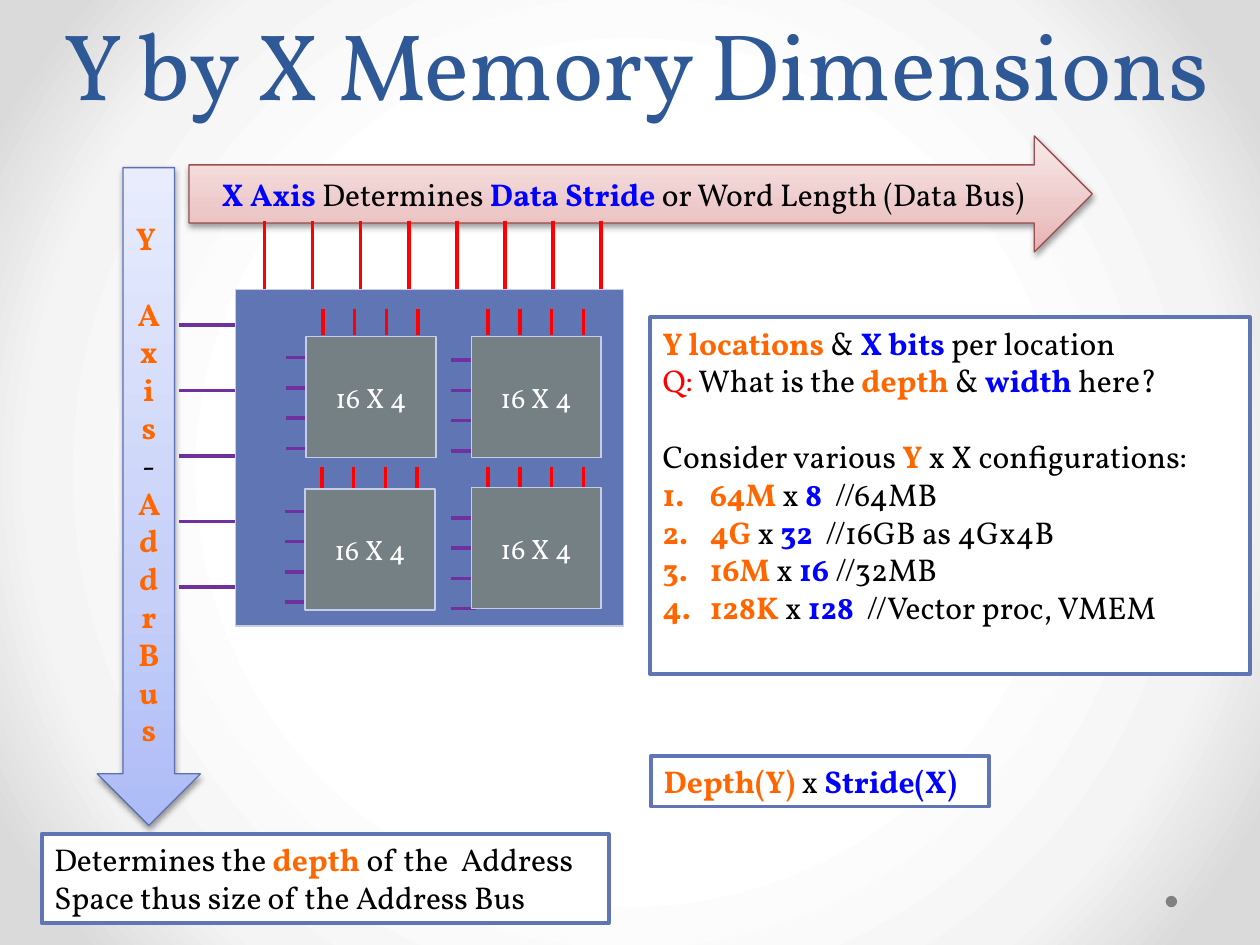
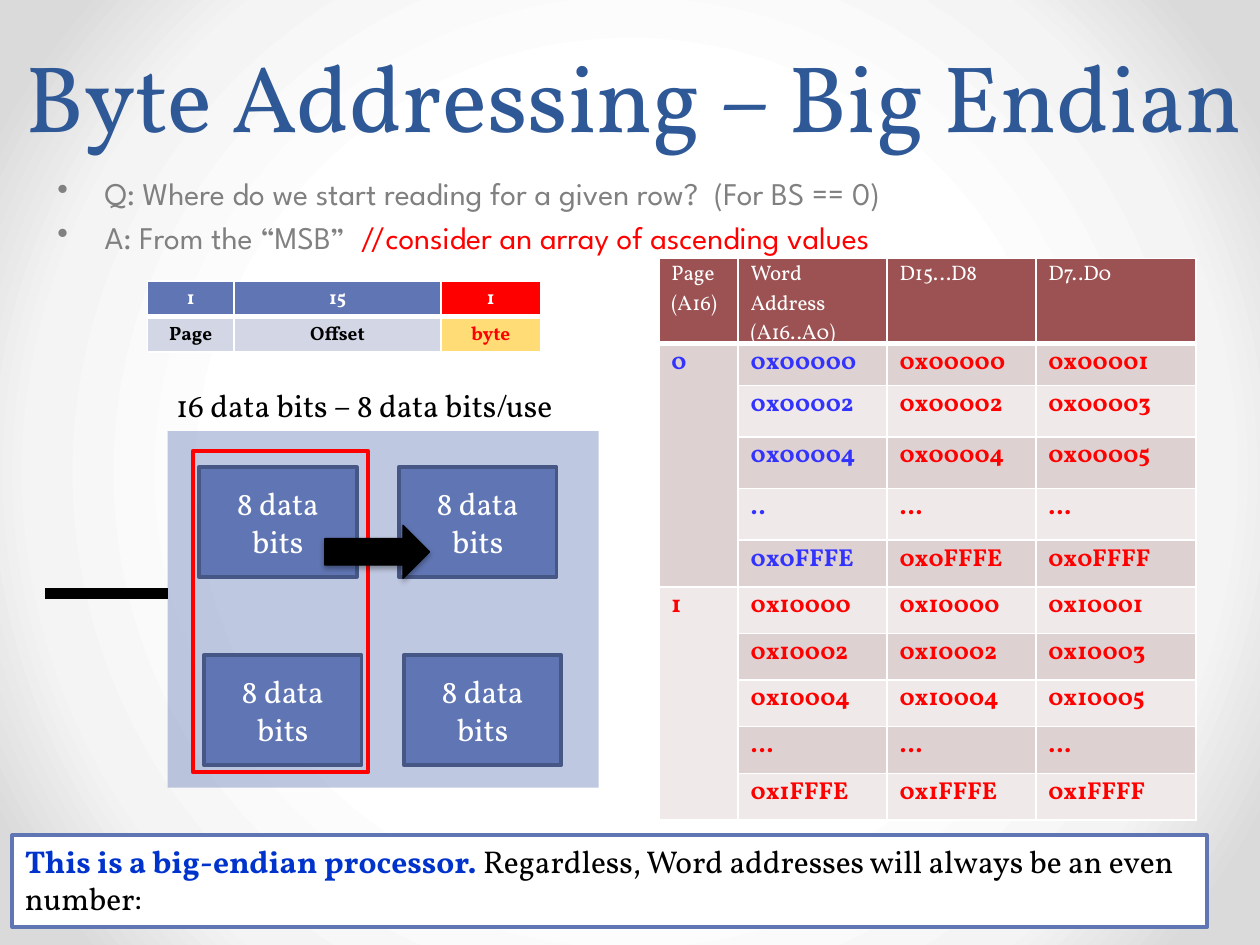
from pptx import Presentation
from pptx.dml.color import RGBColor
from pptx.enum.shapes import MSO_CONNECTOR, MSO_SHAPE
from pptx.enum.text import MSO_ANCHOR, MSO_AUTO_SIZE, PP_ALIGN
from pptx.oxml import parse_xml
from pptx.oxml.ns import nsdecls, qn
from pptx.util import Cm, Pt

RECTANGLE, OVAL = MSO_SHAPE.RECTANGLE, MSO_SHAPE.OVAL
RIGHT_ARROW, DOWN_ARROW = MSO_SHAPE.RIGHT_ARROW, MSO_SHAPE.DOWN_ARROW
STRAIGHT = MSO_CONNECTOR.STRAIGHT
LEFT, CENTER = PP_ALIGN.LEFT, PP_ALIGN.CENTER
TOP, MIDDLE, BOTTOM = MSO_ANCHOR.TOP, MSO_ANCHOR.MIDDLE, MSO_ANCHOR.BOTTOM

SERIF, SANS = "Vollkorn", "League Spartan"
COLORS = {
    "title": "2F5897", "black": "000000", "white": "FFFFFF", "gray": "808080",
    "orange": "FF6600", "blue": "0000FF", "red": "FF0000", "purple": "7030A0",
    "royal": "0033CC", "page blue": "3333FF", "slate": "6076B4",
    "slate edge": "475785", "pale edge": "C6CDE8", "chip": "758085",
    "arrow blue": "5C72B2", "arrow red": "9A4E4E", "head": "9C5252",
    "band dark": "DED1D1", "band light": "EFE9E9", "label": "D2D6E5",
    "gold": "FFC000",
}
# Text style: colour and bold
STYLES = {
    "plain": ("black", False), "depth": ("orange", True), "width": ("blue", True),
    "question": ("red", False), "white": ("white", False), "bullet": ("gray", False),
    "key": ("royal", True), "head": ("white", True), "label": ("black", True),
    "page 0": ("page blue", True), "address": ("red", True),
}
BACKDROP = [(50, "FFFFFF"), (76, "F4F4F4"), (92, "DADADA")]
BLUE_FADE = [(0, "ADBBF6"), (35, "C5CFF8"), (100, "E8ECFD")]
RED_FADE = [(0, "E8B0B0"), (35, "EDC8C8"), (100, "F9E9E9")]
NUMBERED = '<a:buAutoNum %s type="arabicPeriod"/>'
DOTTED = '<a:buChar %s char="•"/>'


def color(name):
    return RGBColor.from_string(COLORS[name])


def xml(markup):
    return parse_xml(markup % nsdecls("a"))


def set_gradient(parent, stops, direction):
    """Replace the gradient inside parent by one with the given stops."""
    marks = "".join(f'<a:gs pos="{place * 1000}"><a:srgbClr val="{tint}"/></a:gs>'
                    for place, tint in stops)
    gradient = xml(f"<a:gradFill %s><a:gsLst>{marks}</a:gsLst>{direction}</a:gradFill>")
    parent.replace(parent.find(qn("a:gradFill")), gradient)


def paint(element, fill, name, alpha=None):
    fill.solid()
    fill.fore_color.rgb = color(name)
    if alpha:
        tint = next(element.iter(qn("a:srgbClr")))
        tint.append(xml(f'<a:alpha %s val="{alpha * 1000}"/>'))


def set_bullet(para, bullet):
    properties = para._p.get_or_add_pPr()
    properties.set("marL", str(Cm(0.95)))
    properties.set("indent", str(Cm(-0.95)))
    properties.append(xml(bullet))


def write(frame, paragraphs, size=18, style="plain", align=LEFT, anchor=TOP, font=SERIF):
    """Fill frame; a paragraph is a string or a list of strings and (text, style) pairs."""
    frame.word_wrap = True
    frame.vertical_anchor = anchor
    for index, spans in enumerate(paragraphs):
        para = frame.paragraphs[0] if index == 0 else frame.add_paragraph()
        para.alignment = align
        for span in [spans] if isinstance(spans, str) else spans:
            text, look = (span, style) if isinstance(span, str) else span
            run = para.add_run()
            run.text = text
            tint, run.font.bold = STYLES[look]
            run.font.color.rgb = color(tint)
            run.font.name, run.font.size = font, Pt(size)
    return frame.paragraphs


class Builder:
    def __init__(self):
        self.deck = Presentation()
        self.deck.slide_width, self.deck.slide_height = Cm(25.4), Cm(19.05)
        master = self.deck.slide_master
        master.background.fill.gradient()
        set_gradient(master.element.cSld.find(qn("p:bg"))[0], BACKDROP,
                     '<a:path path="circle"><a:fillToRect l="50000" t="50000" '
                     'r="50000" b="50000"/></a:path>')
        self.page = None

    def new_page(self, title, left, top, width, height):
        self.page = self.deck.slides.add_slide(self.deck.slide_layouts[5])
        box = self.page.shapes.title
        box.left, box.top, box.width, box.height = map(Cm, (left, top, width, height))
        frame = box.text_frame
        frame.text = title
        frame.auto_size = MSO_AUTO_SIZE.NONE
        frame.word_wrap, frame.vertical_anchor = True, BOTTOM
        para = frame.paragraphs[0]
        para.alignment, para.line_spacing = CENTER, Pt(58)
        font = para.runs[0].font
        font.name, font.size, font.color.rgb = SERIF, Pt(54), color("title")

    def shape(self, kind, left, top, width, height, fill=None, line=None, weight=0, alpha=None):
        shape = self.page.shapes.add_shape(kind, *map(Cm, (left, top, width, height)))
        shape.shadow.inherit = False
        if fill:
            paint(shape._element.spPr, shape.fill, fill, alpha)
        else:
            shape.fill.background()
        if line:
            shape.line.color.rgb = color(line)
            shape.line.width = Pt(weight)
        else:
            shape.line.fill.background()
        return shape

    def arrow(self, kind, left, top, width, height, line, fade=None, shade=38):
        arrow = self.shape(kind, left, top, width, height, "black", line, 0.75)
        properties = arrow._element.spPr
        if fade:
            arrow.fill.gradient()
            set_gradient(properties, fade, '<a:lin ang="16200000" scaled="0"/>')
        properties.find(qn("a:effectLst")).append(xml(
            '<a:outerShdw %s blurRad="40000" dist="20000" dir="5400000" rotWithShape="0">'
            f'<a:srgbClr val="000000"><a:alpha val="{shade * 1000}"/></a:srgbClr></a:outerShdw>'))
        return arrow.text_frame

    def note(self, left, top, width, height, paragraphs):
        box = self.shape(RECTANGLE, left, top, width, height, "white", "slate", 2.25)
        return write(box.text_frame, paragraphs)

    def text(self, left, top, width, height, paragraphs, **look):
        box = self.page.shapes.add_textbox(*map(Cm, (left, top, width, height)))
        return write(box.text_frame, paragraphs, **look)

    def line(self, x1, y1, x2, y2, name, weight=0):
        line = self.page.shapes.add_connector(STRAIGHT, *map(Cm, (x1, y1, x2, y2)))
        line.line.color.rgb = color(name)
        line.line.width = Pt(weight)
        line._element.spPr.append(xml("<a:effectLst %s/>"))

    def table(self, left, top, widths, heights):
        frame = self.page.shapes.add_table(len(heights), len(widths), Cm(left), Cm(top),
                                           Cm(sum(widths)), Cm(sum(heights)))
        table = frame.table
        table.first_row = table.horz_banding = False
        for column, width in zip(table.columns, widths):
            column.width = Cm(width)
        for row, height in zip(table.rows, heights):
            row.height = Cm(height)
        return table

    def cell(self, cell, paragraphs, fill, alpha=None, base=1, **look):
        """Fill one cell; base is the weight of its lower border in points."""
        cell.margin_top, cell.margin_bottom = Cm(0.05), Cm(0)
        paint(cell._tc, cell.fill, fill, alpha)
        properties = cell._tc.get_or_add_tcPr()
        for index, side in enumerate("LRTB"):
            weight = Pt(base if side == "B" else 1)
            properties.insert(index, xml(
                f'<a:ln{side} %s w="{weight}"><a:solidFill><a:srgbClr val="{COLORS["white"]}"/>'
                f"</a:solidFill></a:ln{side}>"))
        cell.vertical_anchor = look.get("anchor", TOP)
        write(cell.text_frame, paragraphs, **look)


def draw_memory_board(build):
    for index in range(5):
        y = 6.55 + 1.32 * index
        build.line(3.61, y, 5.08, y, "purple")
    for index in range(8):
        x = 5.33 + 0.97 * index
        build.line(x, 4.45, x, 5.92, "red")
    build.shape(RECTANGLE, 4.75, 5.84, 7.82, 6.78, "slate", "pale edge")
    chips = [(6.17, 6.78, 7.21, 6.22), (9.5, 6.78, 7.26, 6.22),
             (6.15, 9.86, 10.31, 9.42), (9.5, 9.83, 10.44, 9.42)]
    for left, top, address_y, data_y in chips:
        for index in range(4):
            y = address_y + 0.61 * index
            build.line(left - 0.41, y, left + 0.1, y, "purple")
            x = left + 0.34 + 0.64 * index
            build.line(x, data_y, x, data_y + 0.53, "red")
        chip = build.shape(RECTANGLE, left, top, 2.62, 2.44, "chip", "pale edge")
        write(chip.text_frame, ["16 X 4"], 16, "white", CENTER, MIDDLE)


def dimensions_page(build):
    build.new_page("Y by X Memory Dimensions", -0.2, 0.43, 26.04, 2.11)
    build.shape(OVAL, 23.5, 18.06, 0.23, 0.23, "gray")
    depth_axis = build.arrow(DOWN_ARROW, 1.96, 3.38, 2.08, 13.26, "arrow blue", BLUE_FADE)
    letters = write(depth_axis, ["Y ", "Ax", "i", "s", [("-", "plain"), "Addr Bus"]],
                    style="depth", align=CENTER, anchor=MIDDLE)
    letters[1].space_before = Pt(21.6)
    width_axis = build.arrow(RIGHT_ARROW, 3.81, 2.74, 18.21, 2.34, "arrow red", RED_FADE)
    write(width_axis, [[("X Axis", "width"), " Determines ", ("Data Stride", "width"),
                        " or Word Length (Data Bus) "]], align=CENTER, anchor=MIDDLE)
    build.note(0.84, 16.81, 11.43, 1.8, [[
        "Determines the ", ("depth", "depth"),
        " of the  Address Space thus size of the Address Bus"]])
    draw_memory_board(build)

    configurations = [("64M", "8", "  //64MB"), ("4G", "32", "  //16GB as 4Gx4B"),
                      ("16M", "16", " //32MB"), ("128K", "128", "  //Vector proc, VMEM")]
    paras = build.note(13.11, 6.4, 12.09, 7.19, [
        [("Y locations ", "depth"), "& ", ("X bits", "width"), " per location"],
        [("Q:", "question"), " What is the ", ("depth", "depth"), " & ",
         ("width", "width"), " here?"],
        ["Consider various ", ("Y", "depth"), " x X configurations:"],
        *([(depth, "depth"), " x ", (width, "width"), remark]
          for depth, width, remark in configurations)])
    paras[2].space_before = Pt(21.6)
    for para in paras[3:]:
        set_bullet(para, NUMBERED)
    build.note(13.13, 15.24, 6.81, 1.02,
               [[("Depth(Y)", "depth"), " x ", ("Stride(X)", "width")]])


def draw_address_table(build):
    table = build.table(13.28, 5.21, (1.6, 3, 3, 3.23),
                        (1.72, 0.84, *[1.04] * 3, *[0.94] * 6))
    heads = [["Page", "(A16)"], ["Word Address", "(A16..A0)"], ["D15…D8"], ["D7..D0"]]
    for column, head in enumerate(heads):
        build.cell(table.cell(0, column), head, "head", base=3, size=12, style="white")
    offsets = (0, 2, 4, None, 0xFFFE)
    for page in (0, 1):
        first = 1 + len(offsets) * page
        style = "address" if page else "page 0"
        for row, offset in enumerate(offsets, first):
            band = "band dark" if row % 2 else "band light"
            if offset is None:
                values = ["…" if page else "..", "…", "…"]
            else:
                values = [f"0x{page}{number:04X}" for number in (offset, offset, offset + 1)]
            if row == first:
                table.cell(row, 0).merge(table.cell(row + len(offsets) - 1, 0))
                build.cell(table.cell(row, 0), [str(page)], band, size=14, style=style)
            for column, value in enumerate(values, 1):
                build.cell(table.cell(row, column), [value], band, size=14,
                           style=style if column == 1 else "address")


def draw_field_table(build):
    table = build.table(2.97, 5.66, (1.75, 4.17, 2.01), (0.72, 0.72))
    fields = [("1", "Page", "slate", "label", None, "label"),
              ("15", "Offset", "slate", "label", None, "label"),
              ("1", "byte", "red", "gold", 54, "address")]
    look = {"size": 11, "align": CENTER, "anchor": MIDDLE}
    for column, (bits, name, fill, name_fill, alpha, style) in enumerate(fields):
        build.cell(table.cell(0, column), [bits], fill, base=3, style="head", **look)
        build.cell(table.cell(1, column), [name], name_fill, alpha, style=style, **look)


def endian_page(build):
    build.new_page("Byte Addressing – Big Endian", -0.46, 1.27, 26.47, 1.91)
    build.note(0.25, 16.84, 24.08, 1.85, [[
        ("This is a big-endian processor. ", "key"),
        "Regardless, Word addresses will always be an even number:"]])
    build.shape(RECTANGLE, 3.38, 8.69, 8.69, 7.19, "slate", alpha=40)
    for row in range(2):
        for column in range(2):
            lane = build.shape(RECTANGLE, 4.01 + 4.03 * column + 0.1 * row, 9.42 + 3.79 * row,
                               3.18, 2.21, "slate", "slate edge", 2.25)
            write(lane.text_frame, ["8 data bits"], 18, "white", CENTER, MIDDLE)
    build.text(3.3, 7.65, 9.4, 1.02, ["16 data bits – 8 data bits/use"])
    build.shape(RECTANGLE, 3.89, 9.09, 3.53, 6.48, line="red", weight=2.25)
    draw_address_table(build)
    build.line(3.38, 11.96, 0.91, 11.96, "black", 6)
    draw_field_table(build)
    build.arrow(RIGHT_ARROW, 6.55, 10.59, 2.11, 1.07, "black", shade=35)
    bullets = build.text(0.91, 3.38, 24.21, 1.91, [
        "Q: Where do we start reading for a given row?  (For BS == 0)",
        ["A: From the “MSB”  ", ("//consider an array of ascending values", "question")],
    ], style="bullet", font=SANS)
    for para in bullets:
        para.space_before = Pt(3.6)
        set_bullet(para, DOTTED)


def main():
    build = Builder()
    dimensions_page(build)
    endian_page(build)
    build.deck.save("out.pptx")


if __name__ == "__main__":
    main()
